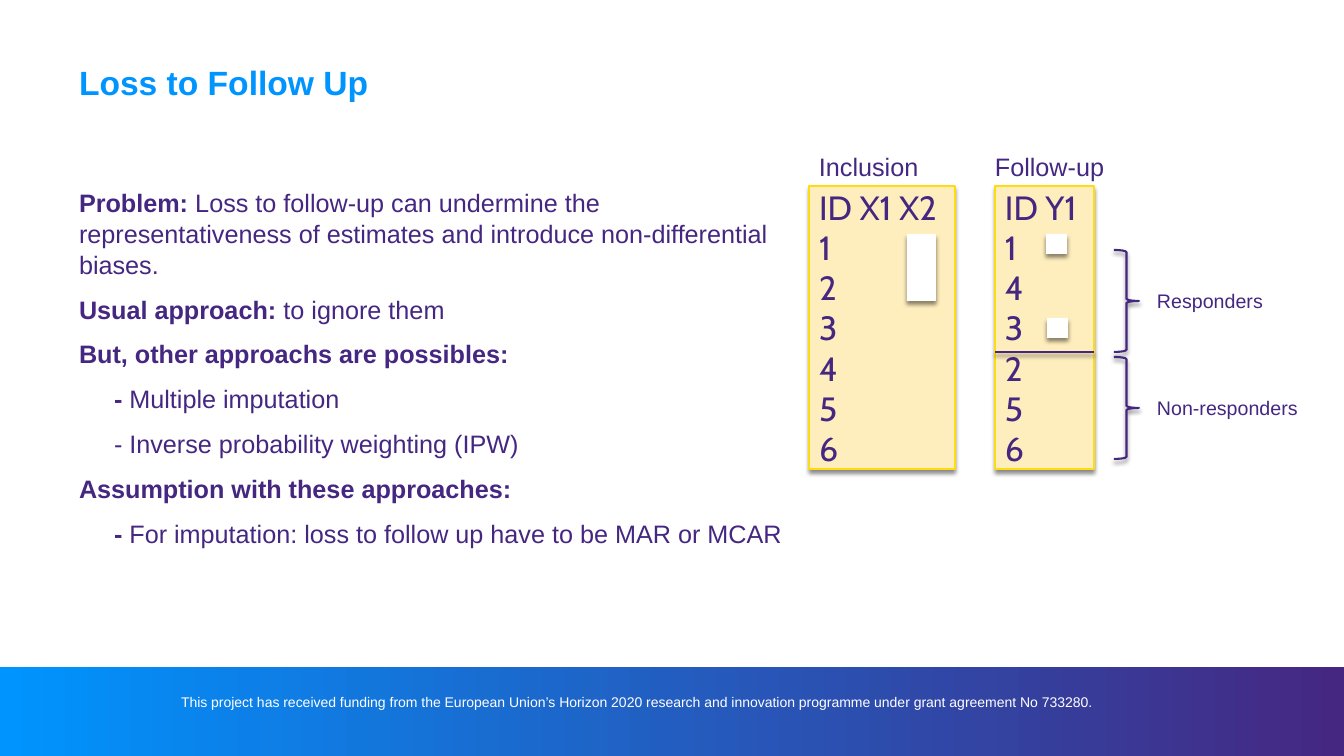
from dataclasses import dataclass

from lxml.etree import SubElement
from pptx import Presentation
from pptx.dml.color import RGBColor
from pptx.enum.shapes import MSO_CONNECTOR as Connector, MSO_SHAPE as Shape
from pptx.enum.text import MSO_ANCHOR as Anchor, PP_ALIGN as Align
from pptx.oxml.ns import qn
from pptx.util import Pt

# Content
TITLE = "Loss to Follow Up"
FUNDING = ("This project has received funding from the European Union’s Horizon 2020 "
           "research and innovation programme under grant agreement No 733280.")
# (indented, bold text, regular text)
BODY = [
    (False, "Problem: ", "Loss to follow-up can undermine the representativeness of "
                         "estimates and introduce non-differential biases."),
    (False, "Usual approach: ", "to ignore them"),
    (False, "But, other approachs are possibles:", ""),
    (True, "- ", "Multiple imputation"),
    (True, "", "- Inverse probability weighting (IPW)"),
    (False, "Assumption with these approaches:", ""),
    (True, "- ", "For imputation: loss to follow up have to be MAR or MCAR"),
]
# (heading, heading left, panel left, panel width, rows)
PANELS = [
    ("Inclusion", 809, 809, 146, ["ID X1 X2", "1", "2", "3", "4", "5", "6"]),
    ("Follow-up", 985, 995, 99, ["ID Y1", "1", "4", "3", "2", "5", "6"]),
]
GROUPS = ["Responders", "Non-responders"]
MISSING = [(907, 234, 29, 67), (1046, 234, 21, 20), (1047, 318, 21, 20)]


@dataclass(frozen=True)
class Theme:
    blue = RGBColor.from_string("0094FE")
    purple = RGBColor.from_string("452782")
    white = RGBColor.from_string("FFFFFF")
    cream = RGBColor.from_string("FFEEBD")
    yellow = RGBColor.from_string("FFDB14")
    font = "Arial"
    panel_font = "Cabin"
    heading = Pt(24)
    text = Pt(18)
    label = Pt(14)
    small = Pt(10)


theme = Theme()
PX = 914400 / 100.8
INSET_X, INSET_Y = 10, 5


def px(*lengths):
    return [round(length * PX) for length in lengths]


def style(para, size, color, name=theme.font, bold=None):
    para.font.size, para.font.name, para.font.bold = size, name, bold
    para.font.color.rgb = color


def set_frame(frame, inset_x=0, inset_y=0, anchor=Anchor.TOP):
    frame.word_wrap = True
    frame.vertical_anchor = anchor
    frame.margin_left, frame.margin_right = px(inset_x, inset_x)
    frame.margin_top, frame.margin_bottom = px(inset_y, inset_y)


def add_text(box, text, size, color, inset_x=0, inset_y=0):
    frame = page.shapes.add_textbox(*px(*box)).text_frame
    set_frame(frame, inset_x, inset_y)
    frame.text = text
    style(frame.paragraphs[0], size, color)


def add_shadow(item):
    effects = SubElement(item.element.spPr, qn("a:effectLst"))
    shadow = SubElement(effects, qn("a:outerShdw"), blurRad=str(Pt(3)),
                        dist=str(Pt(2.4)), dir="5400000", rotWithShape="0")
    black = SubElement(shadow, qn("a:srgbClr"), val="000000")
    SubElement(black, qn("a:alpha"), val="45000")


def add_box(kind, box, fill=None, line=None, weight=1.5):
    shape = page.shapes.add_shape(kind, *px(*box))
    if fill is None:
        shape.fill.background()
    else:
        shape.fill.solid()
        shape.fill.fore_color.rgb = fill
    if line is None:
        shape.line.fill.background()
    else:
        shape.line.color.rgb = line
        shape.line.width = Pt(weight)
    add_shadow(shape)
    return shape


deck = Presentation()
deck.slide_width, deck.slide_height = px(1344, 756)
page = deck.slides.add_slide(deck.slide_layouts.get_by_name("Title Only"))

# Footer band
band = page.shapes.add_shape(Shape.FLOWCHART_PROCESS, *px(0, 667, 1344, 89))
band.shadow.inherit = False
band.line.fill.background()
band.fill.gradient()
band.fill.gradient_angle = 0
for stop, color in zip(band.fill.gradient_stops, (theme.blue, theme.purple)):
    stop.color.rgb = color
add_text((181, 694, 1089, 17), FUNDING, theme.small, theme.white)

# Title
title = page.shapes.title
title.left, title.top, title.width, title.height = px(79, 62, 990, 96)
set_frame(title.text_frame)
title.text_frame.text = TITLE
heading = title.text_frame.paragraphs[0]
heading.alignment = Align.LEFT
style(heading, theme.heading, theme.blue, bold=True)

# Body
body = page.shapes.add_textbox(*px(79, 187, 722, 436)).text_frame
set_frame(body)
for index, (indented, strong, plain) in enumerate(BODY):
    para = body.add_paragraph() if index else body.paragraphs[0]
    para.line_spacing, para.space_after = Pt(22), Pt(10)
    if indented:
        para._p.get_or_add_pPr().set("marL", str(px(35)[0]))
    style(para, theme.text, theme.purple)
    for text, bold in ((strong, True), (plain, False)):
        if text:
            span = para.add_run()
            span.text, span.font.bold = text, bold

# Data panels
for name, name_left, left, width, rows in PANELS:
    add_text((name_left, 146, 137, 40), name, theme.text, theme.purple, INSET_X, INSET_Y)
    panel = add_box(Shape.RECTANGLE, (left, 186, width, 283),
                    theme.cream, theme.yellow, 0.79)
    set_frame(panel.text_frame, INSET_X, INSET_Y, Anchor.MIDDLE)
    panel.text_frame.text = "\n".join(rows)
    for para in panel.text_frame.paragraphs:
        para.alignment = Align.LEFT
        style(para, theme.heading, theme.purple, theme.panel_font)

# Divider between responders and non-responders
divider = page.shapes.add_connector(Connector.STRAIGHT, *px(995, 352, 1094, 352))
divider.line.color.rgb = theme.purple
divider.line.width = Pt(1.5)
add_shadow(divider)

# Missing values
for box in MISSING:
    add_box(Shape.RECTANGLE, box, theme.white)

# Braces and their labels
for index, group in enumerate(GROUPS):
    top = 250 + 107 * index
    add_box(Shape.RIGHT_BRACE, (1114, top, 25, 102), line=theme.purple)
    add_text((1147, top + 34, 177, 34), group, theme.label, theme.purple, INSET_X, INSET_Y)

deck.save("out.pptx")
